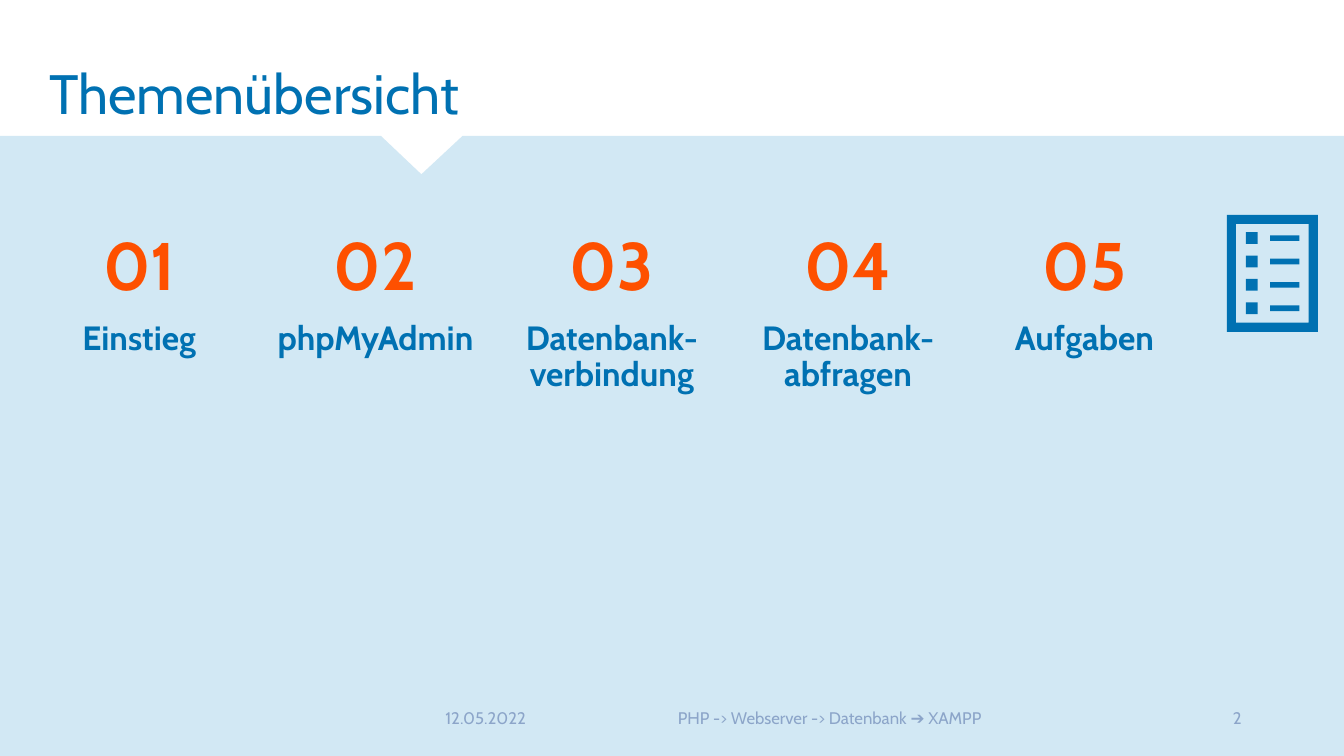
from pptx import Presentation
from pptx.dml.color import RGBColor
from pptx.enum.shapes import MSO_SHAPE
from pptx.enum.text import MSO_ANCHOR, MSO_AUTO_SIZE, PP_ALIGN
from pptx.util import Pt

FONT = "Cabin"
BLUE = "0071B2"
ORANGE = "FE5000"
PALE_BLUE = "D2E8F4"
GREY_BLUE = "8CA5C9"
PAGE_WIDTH, PAGE_HEIGHT = 960, 540
TOPICS = ["Einstieg", "phpMyAdmin", "Datenbank-\vverbindung", "Datenbank-\vabfragen", "Aufgaben"]


def color(value):
    return RGBColor.from_string(value)


def paint(shape, value):
    shape.shadow.inherit = False
    shape.fill.solid()
    shape.fill.fore_color.rgb = color(value)
    shape.line.fill.background()


def write(shape, text, size, value, align=PP_ALIGN.LEFT, bold=False, spacing=1.0, anchor=MSO_ANCHOR.TOP):
    frame = shape.text_frame
    frame.word_wrap = True
    frame.auto_size = MSO_AUTO_SIZE.NONE
    frame.vertical_anchor = anchor
    para = frame.paragraphs[0]
    para.text = text
    para.alignment = align
    para.line_spacing = spacing
    para.space_before = Pt(0)
    para.font.name = FONT
    para.font.size = Pt(size)
    para.font.bold = bold
    para.font.color.rgb = color(value)


def add_text(page, left, top, width, height, text, size, value, **style):
    box = page.shapes.add_textbox(Pt(left), Pt(top), Pt(width), Pt(height))
    write(box, text, size, value, **style)


def add_block(page, kind, left, top, width, height):
    block = page.shapes.add_shape(kind, Pt(left), Pt(top), Pt(width), Pt(height))
    paint(block, BLUE)
    return block


def add_background(page, left, top, width, height):
    right, bottom = left + width, top + height
    notch = [(left + 272, top), (left + 301, top + 27.5), (left + 330.5, top)]
    corners = notch + [(right, top), (right, bottom), (left, bottom)]
    builder = page.shapes.build_freeform(Pt(left), Pt(top))
    builder.add_line_segments([(Pt(x), Pt(y)) for x, y in corners])
    paint(builder.convert_to_shape(), PALE_BLUE)


def add_title(page, left, top, width, height):
    title = page.shapes.title
    title.left, title.top, title.width, title.height = Pt(left), Pt(top), Pt(width), Pt(height)
    write(title, "Themenübersicht", 39.6, BLUE, spacing=0.9)


def add_topics(page, left, top, width, height):
    column = width / len(TOPICS)
    for index, topic in enumerate(TOPICS):
        x = left + index * column
        add_text(page, x, top, column, 55.5, f"{index + 1:02}", 48, ORANGE,
                 align=PP_ALIGN.CENTER, bold=True, spacing=0.8)
        add_text(page, x, top + 59, column, height - 59, topic, 24, BLUE,
                 align=PP_ALIGN.CENTER, bold=True, spacing=0.9)


def add_list_icon(page, left, top, width, height):
    border = add_block(page, MSO_SHAPE.FRAME, left, top, width, height)
    border.adjustments[0] = 0.1
    for row in range(4):
        y = top + 12.5 + row * 16.7
        add_block(page, MSO_SHAPE.RECTANGLE, left + 13.7, y, 8.4, 8.4)
        add_block(page, MSO_SHAPE.RECTANGLE, left + 31, y + 2.2, 20.8, 4)


def add_footer(page, left, top, width, height):
    date_width, number_width = 111.5, 131
    middle_width = width - date_width - number_width
    parts = [
        (date_width, "12.05.2022", PP_ALIGN.LEFT),
        (middle_width, "PHP -> Webserver -> Datenbank ➔ XAMPP", PP_ALIGN.CENTER),
        (number_width, "2", PP_ALIGN.RIGHT),
    ]
    for part_width, text, align in parts:
        add_text(page, left, top, part_width, height, text, 12, GREY_BLUE,
                 align=align, anchor=MSO_ANCHOR.MIDDLE)
        left += part_width


def main():
    deck = Presentation()
    deck.slide_width, deck.slide_height = Pt(PAGE_WIDTH), Pt(PAGE_HEIGHT)
    page = deck.slides.add_slide(deck.slide_layouts[5])
    add_background(page, 0, 97, PAGE_WIDTH, PAGE_HEIGHT - 97)
    add_title(page, 28, 44, 394.5, 53)
    add_topics(page, 15, 167, 844, 132)
    add_list_icon(page, 876.3, 153.4, 65, 83.6)
    add_footer(page, 311, 496.8, 583, 32.4)
    deck.save("out.pptx")


if __name__ == "__main__":
    main()
